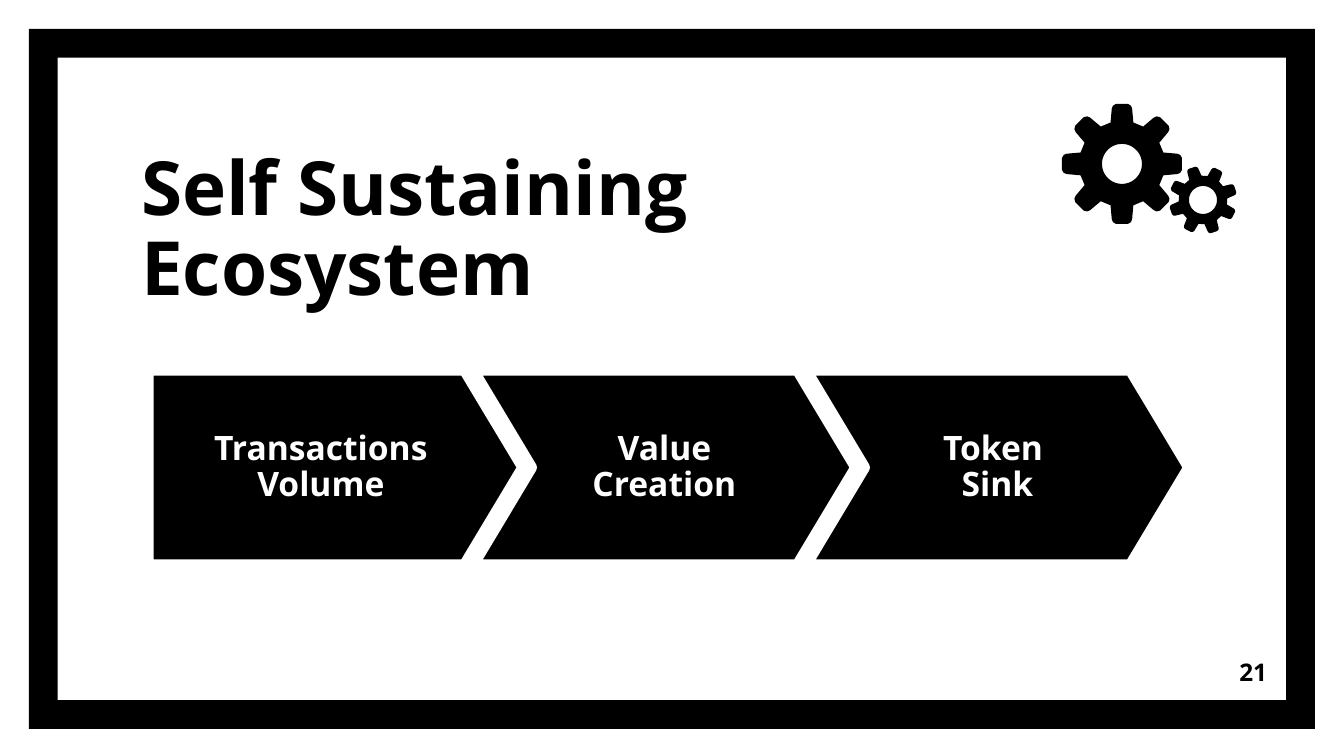
"""Build the slide on a self sustaining ecosystem in three steps."""
from dataclasses import dataclass
from math import cos, radians, sin

from pptx import Presentation
from pptx.dml.color import RGBColor
from pptx.enum.shapes import MSO_SHAPE as Preset
from pptx.enum.text import MSO_ANCHOR as Anchor, PP_ALIGN as Align
from pptx.util import Emu, Pt

EMU_PER_PIXEL = 914400 / 134.4


@dataclass(frozen=True)
class Theme:
    ink: RGBColor = RGBColor(0, 0, 0)
    paper: RGBColor = RGBColor(255, 255, 255)
    font: str = "Open Sans"
    title_size: int = 40
    step_size: int = 18
    number_size: int = 13
    outline: int = 6
    line_spacing: float = 0.9


@dataclass(frozen=True)
class Box:
    left: int
    top: int
    width: int
    height: int

    def emu(self) -> tuple:
        return tuple(px(side) for side in (self.left, self.top, self.width, self.height))


@dataclass(frozen=True)
class Step:
    label: str
    preset: Preset
    left: int
    width: int


@dataclass(frozen=True)
class Gear:
    center_x: int
    center_y: int
    radius: int
    hole: int
    turn: int


THEME = Theme()
STEP_TOP, STEP_HEIGHT, STEP_PITCH = 370, 195, 333
CHEVRON_LEFT, CHEVRON_WIDTH = 473, 383
STEPS = (
    Step("Transactions Volume", Preset.PENTAGON, 148, 375),
    Step("Value Creation", Preset.CHEVRON, CHEVRON_LEFT, CHEVRON_WIDTH),
    Step("Token \nSink", Preset.CHEVRON, CHEVRON_LEFT + STEP_PITCH, CHEVRON_WIDTH),
)
GEARS = (Gear(1122, 164, 60, 20, 0), Gear(1203, 200, 34, 14, -19))
TEETH = 8
HALF_TOOTH = ((0.19, 0.69), (0.17, 0.92), (0.15, 0.97), (0.10, 1.0))
TOOTH = [(-x, y) for x, y in HALF_TOOTH] + list(reversed(HALF_TOOTH))


def px(pixels: float) -> Emu:
    return Emu(round(pixels * EMU_PER_PIXEL))


def write(shape, text: str, size: int, color: RGBColor, align: Align, anchor: Anchor) -> None:
    frame = shape.text_frame
    frame.text = text
    frame.word_wrap = True
    frame.vertical_anchor = anchor
    frame.margin_left = frame.margin_right = frame.margin_top = frame.margin_bottom = px(13)
    for paragraph in frame.paragraphs:
        paragraph.alignment = align
        paragraph.line_spacing = THEME.line_spacing
        for run in paragraph.runs:
            run.font.name = THEME.font
            run.font.size = Pt(size)
            run.font.bold = True
            run.font.color.rgb = color


def paint(shape) -> None:
    shape.shadow.inherit = False
    shape.fill.solid()
    shape.fill.fore_color.rgb = THEME.ink
    shape.line.fill.background()


def draw_border(slide, box: Box) -> None:
    border = slide.shapes.add_shape(Preset.FRAME, *box.emu())
    border.adjustments[0] = 0.041
    paint(border)


def draw_text(slide, box: Box, text: str, size: int, align: Align, anchor: Anchor) -> None:
    write(slide.shapes.add_textbox(*box.emu()), text, size, THEME.ink, align, anchor)


def draw_step(slide, step: Step) -> None:
    box = Box(step.left, STEP_TOP, step.width, STEP_HEIGHT)
    arrow = slide.shapes.add_shape(step.preset, *box.emu())
    arrow.adjustments[0] = 0.3
    paint(arrow)
    arrow.line.color.rgb = THEME.paper
    arrow.line.width = Pt(THEME.outline)
    write(arrow, step.label, THEME.step_size, THEME.paper, Align.CENTER, Anchor.MIDDLE)


def draw_gear(slide, gear: Gear) -> None:
    def place(x: float, y: float, degrees: float) -> tuple:
        angle = radians(degrees)
        return (px(gear.center_x + x * cos(angle) + y * sin(angle)),
                px(gear.center_y + x * sin(angle) - y * cos(angle)))

    rim = [place(x * gear.radius, y * gear.radius, gear.turn + tooth * 360 / TEETH)
           for tooth in range(TEETH) for x, y in TOOTH]
    hole = [place(0, gear.hole, -degrees) for degrees in range(0, 360, 8)]
    builder = slide.shapes.build_freeform(*rim[0])
    builder.add_line_segments(rim[1:])
    builder.move_to(*hole[0])
    builder.add_line_segments(hole[1:])
    paint(builder.convert_to_shape())


def build() -> None:
    deck = Presentation()
    deck.slide_width, deck.slide_height = px(1344), px(756)
    slide = deck.slides.add_slide(deck.slide_layouts[6])
    draw_border(slide, Box(29, 29, 1286, 700))
    draw_text(slide, Box(128, 125, 749, 200), "Self Sustaining Ecosystem",
              THEME.title_size, Align.LEFT, Anchor.BOTTOM)
    for step in STEPS:
        draw_step(slide, step)
    for gear in GEARS:
        draw_gear(slide, gear)
    draw_text(slide, Box(1199, 645, 81, 58), "21",
              THEME.number_size, Align.RIGHT, Anchor.MIDDLE)
    deck.save("out.pptx")


build()
